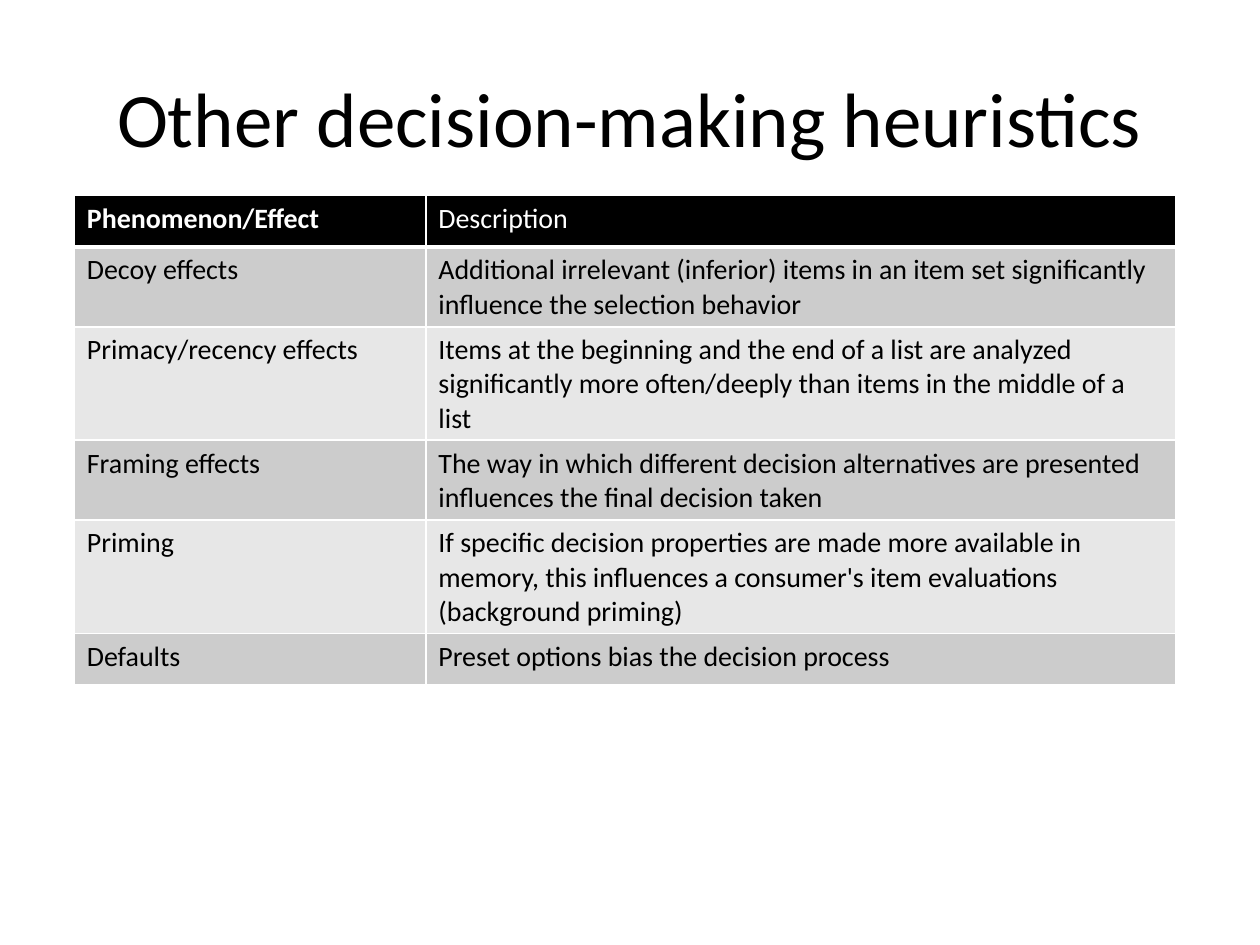
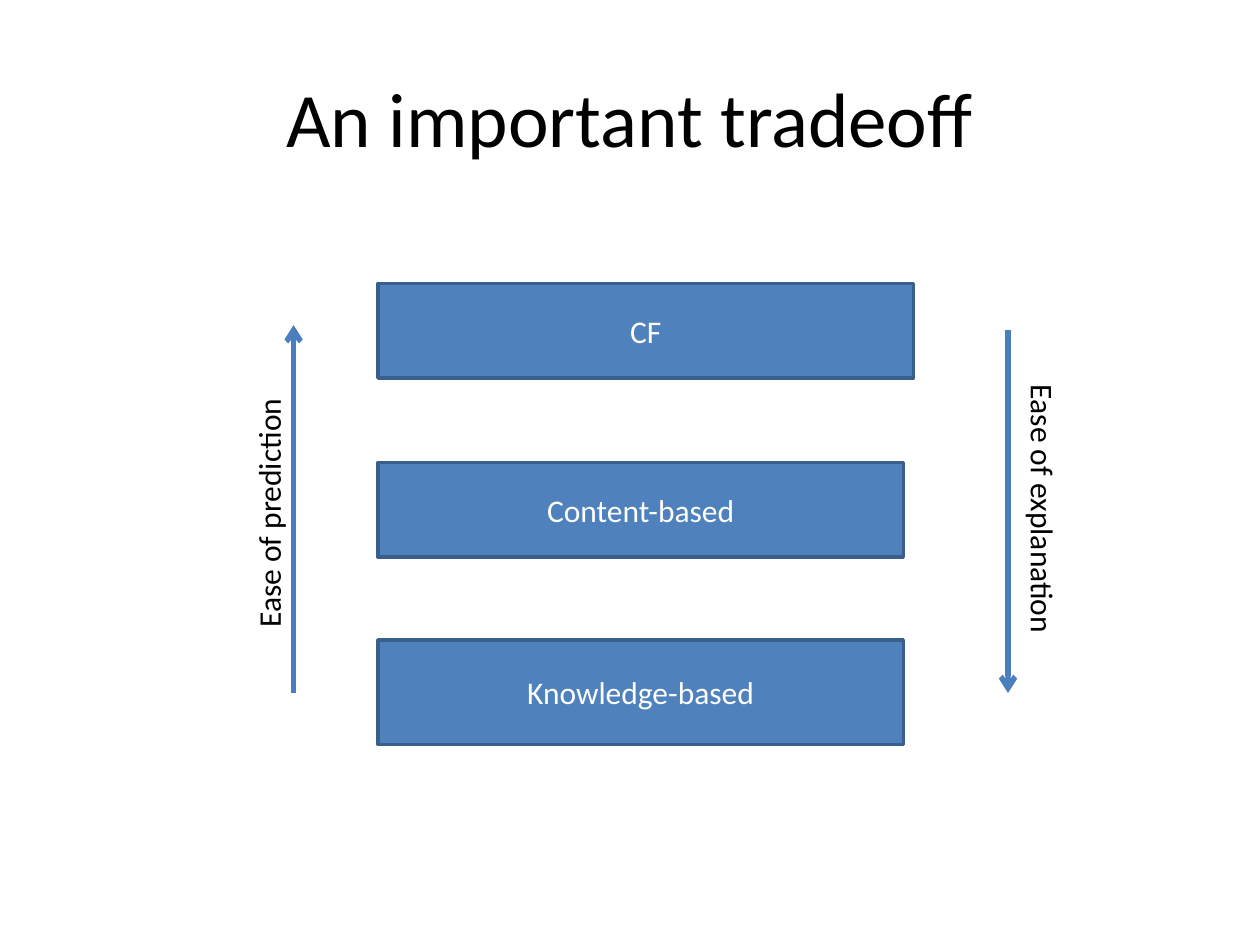
from dataclasses import dataclass

from lxml import etree
from pptx import Presentation
from pptx.dml.color import RGBColor
from pptx.enum.shapes import MSO_CONNECTOR, MSO_SHAPE
from pptx.enum.text import MSO_ANCHOR, PP_ALIGN
from pptx.oxml.ns import qn
from pptx.util import Inches, Pt

LEFT, CENTER = PP_ALIGN.LEFT, PP_ALIGN.CENTER
TOP, MIDDLE = MSO_ANCHOR.TOP, MSO_ANCHOR.MIDDLE
RECTANGLE = MSO_SHAPE.RECTANGLE
STRAIGHT = MSO_CONNECTOR.STRAIGHT

FONT = "Calibri"
BLACK, WHITE = "000000", "FFFFFF"
BAND_COLORS = ("CCCCCC", "E7E7E7")
BOX_FILL, BOX_LINE, ARROW_COLOR = "4F81BD", "3A5F8C", "4B7EBC"

TABLE_LEFT, TABLE_TOP = 0.59, 1.55
COLUMN_WIDTHS = (2.79, 5.95)
ROW_HEIGHT = 0.41
HEURISTICS = (
    ("Phenomenon/Effect", "Description"),
    ("Decoy effects",
     "Additional irrelevant (inferior) items in an item set significantly "
     "influence the selection behavior"),
    ("Primacy/recency effects",
     "Items at the beginning and the end of a list are analyzed significantly "
     "more often/deeply than items in the middle of a list"),
    ("Framing effects",
     "The way in which different decision alternatives are presented "
     "influences the final decision taken"),
    ("Priming",
     "If specific decision properties are made more available in memory, this "
     "influences a consumer's item evaluations (background priming)"),
    ("Defaults", "Preset options bias the decision process"),
)


@dataclass(frozen=True)
class Approach:
    name: str
    top: float
    width: float
    height: float


@dataclass(frozen=True)
class EaseArrow:
    """A vertical arrow and the rotated label beside it."""
    label: str
    x: float
    start_y: float
    end_y: float
    label_left: float
    label_width: float
    rotation: int
    align: PP_ALIGN


APPROACH_LEFT = 3
APPROACHES = (
    Approach("CF", 2.25, 4.25, 0.75),
    Approach("Content-based", 3.67, 4.17, 0.75),
    Approach("Knowledge-based", 5.08, 4.17, 0.83),
)
LABEL_TOP, LABEL_HEIGHT = 3.84, 0.4
EASE_ARROWS = (
    EaseArrow("Ease of explanation", 8, 2.62, 5.5, 6.99, 2.58, 90, CENTER),
    EaseArrow("Ease of prediction", 2.33, 5.5, 2.58, 1.09, 2.08, 270, LEFT),
)


def rgb(color: str) -> RGBColor:
    return RGBColor.from_string(color)


def write_text(frame, text: str, *, size: float = 18, color: str = BLACK,
               bold: bool = False, align: PP_ALIGN = LEFT) -> None:
    frame.word_wrap = True
    para = frame.paragraphs[0]
    para.alignment = align
    span = para.add_run()
    span.text = text
    span.font.name = FONT
    span.font.size = Pt(size)
    span.font.bold = bold
    span.font.color.rgb = rgb(color)


def add_text_box(page, text: str, left: float, top: float, width: float,
                 height: float, *, anchor: MSO_ANCHOR = TOP, **text_format):
    box = page.shapes.add_textbox(Inches(left), Inches(top), Inches(width), Inches(height))
    box.text_frame.vertical_anchor = anchor
    write_text(box.text_frame, text, **text_format)
    return box


def add_page(deck, title: str):
    """Add a blank slide with the shared title style."""
    page = deck.slides.add_slide(deck.slide_layouts[6])
    add_text_box(page, title, 0.5, 0.3, 9, 1.25, anchor=MIDDLE, size=44, align=CENTER)
    return page


def set_borders(cell, widths: dict[str, float]) -> None:
    """Draw white borders; call before the fill, which must follow them."""
    properties = cell._tc.get_or_add_tcPr()
    for side, width in widths.items():
        border = etree.SubElement(properties, qn(f"a:ln{side}"), w=str(Pt(width)))
        fill = etree.SubElement(border, qn("a:solidFill"))
        etree.SubElement(fill, qn("a:srgbClr"), val=WHITE)


def add_heuristics_table(page) -> None:
    table = page.shapes.add_table(
        len(HEURISTICS), len(COLUMN_WIDTHS), Inches(TABLE_LEFT), Inches(TABLE_TOP),
        Inches(sum(COLUMN_WIDTHS)), Inches(ROW_HEIGHT * len(HEURISTICS))).table
    for column, width in zip(table.columns, COLUMN_WIDTHS):
        column.width = Inches(width)
    for row_index, texts in enumerate(HEURISTICS):
        table.rows[row_index].height = Inches(ROW_HEIGHT)
        header = row_index == 0
        for column_index, text in enumerate(texts):
            cell = table.cell(row_index, column_index)
            set_borders(cell, {"L": 1, "R": 1, "T": 3 if row_index == 1 else 1,
                               "B": 3 if header else 1})
            cell.fill.solid()
            cell.fill.fore_color.rgb = rgb(BLACK if header else BAND_COLORS[(row_index - 1) % 2])
            write_text(cell.text_frame, text, size=16, color=WHITE if header else BLACK,
                       bold=header and column_index == 0)


def add_approach(page, approach: Approach) -> None:
    box = page.shapes.add_shape(
        RECTANGLE, Inches(APPROACH_LEFT), Inches(approach.top),
        Inches(approach.width), Inches(approach.height))
    box.shadow.inherit = False
    box.fill.solid()
    box.fill.fore_color.rgb = rgb(BOX_FILL)
    box.line.color.rgb = rgb(BOX_LINE)
    box.line.width = Pt(2)
    box.text_frame.vertical_anchor = MIDDLE
    write_text(box.text_frame, approach.name, color=WHITE, align=CENTER)


def add_ease_arrow(page, arrow: EaseArrow) -> None:
    connector = page.shapes.add_connector(
        STRAIGHT, Inches(arrow.x), Inches(arrow.start_y), Inches(arrow.x), Inches(arrow.end_y))
    connector.line.color.rgb = rgb(ARROW_COLOR)
    connector.line.width = Pt(3)
    etree.SubElement(connector.line._get_or_add_ln(), qn("a:tailEnd"), type="arrow")
    etree.SubElement(connector._element.spPr, qn("a:effectLst"))
    label = add_text_box(page, arrow.label, arrow.label_left, LABEL_TOP,
                         arrow.label_width, LABEL_HEIGHT, align=arrow.align)
    label.rotation = arrow.rotation


def main() -> None:
    deck = Presentation()
    deck.slide_width, deck.slide_height = Inches(10), Inches(7.5)

    add_heuristics_table(add_page(deck, "Other decision-making heuristics"))

    tradeoff_page = add_page(deck, "An important tradeoff")
    for approach in APPROACHES:
        add_approach(tradeoff_page, approach)
    for arrow in EASE_ARROWS:
        add_ease_arrow(tradeoff_page, arrow)

    deck.save("out.pptx")


if __name__ == "__main__":
    main()
